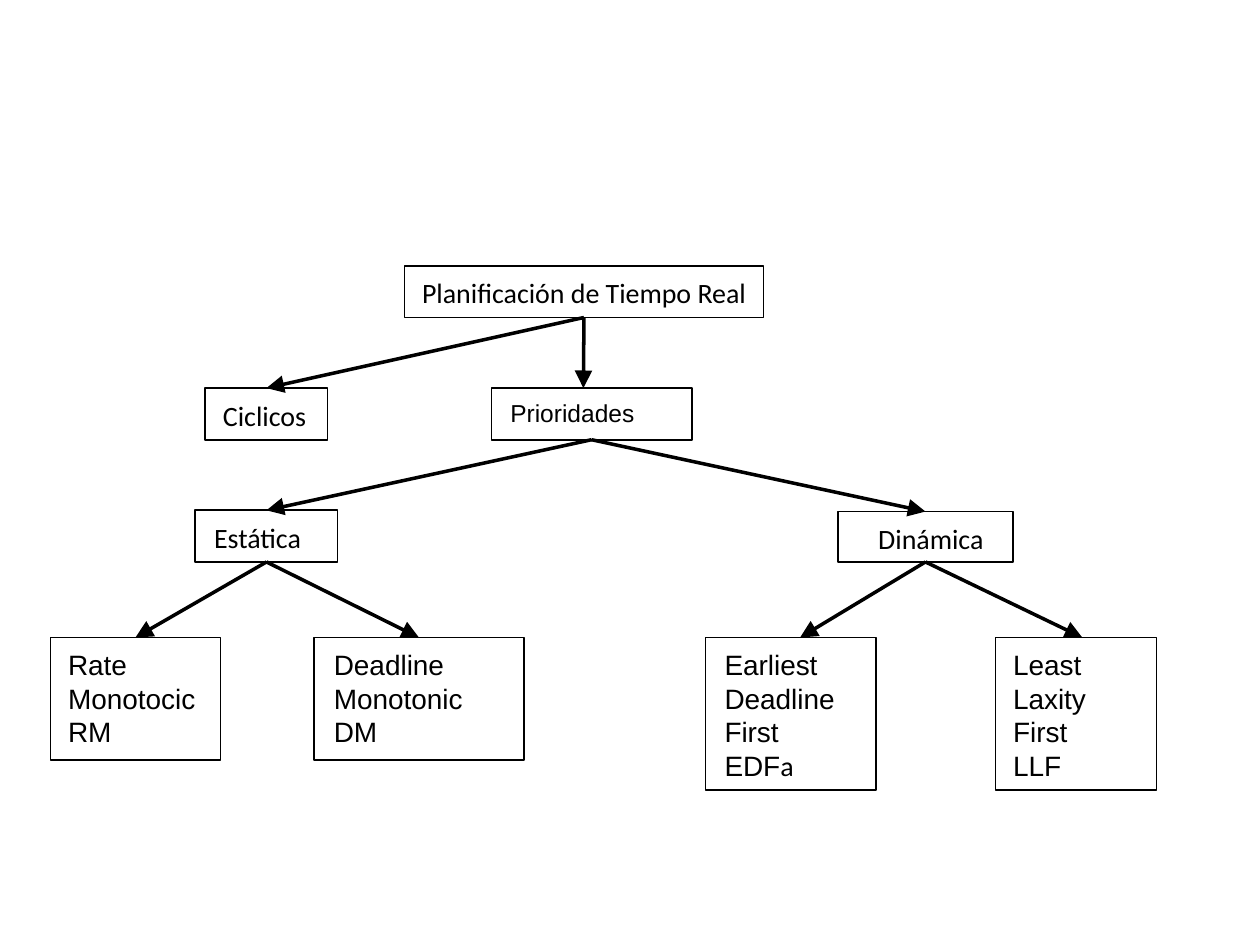
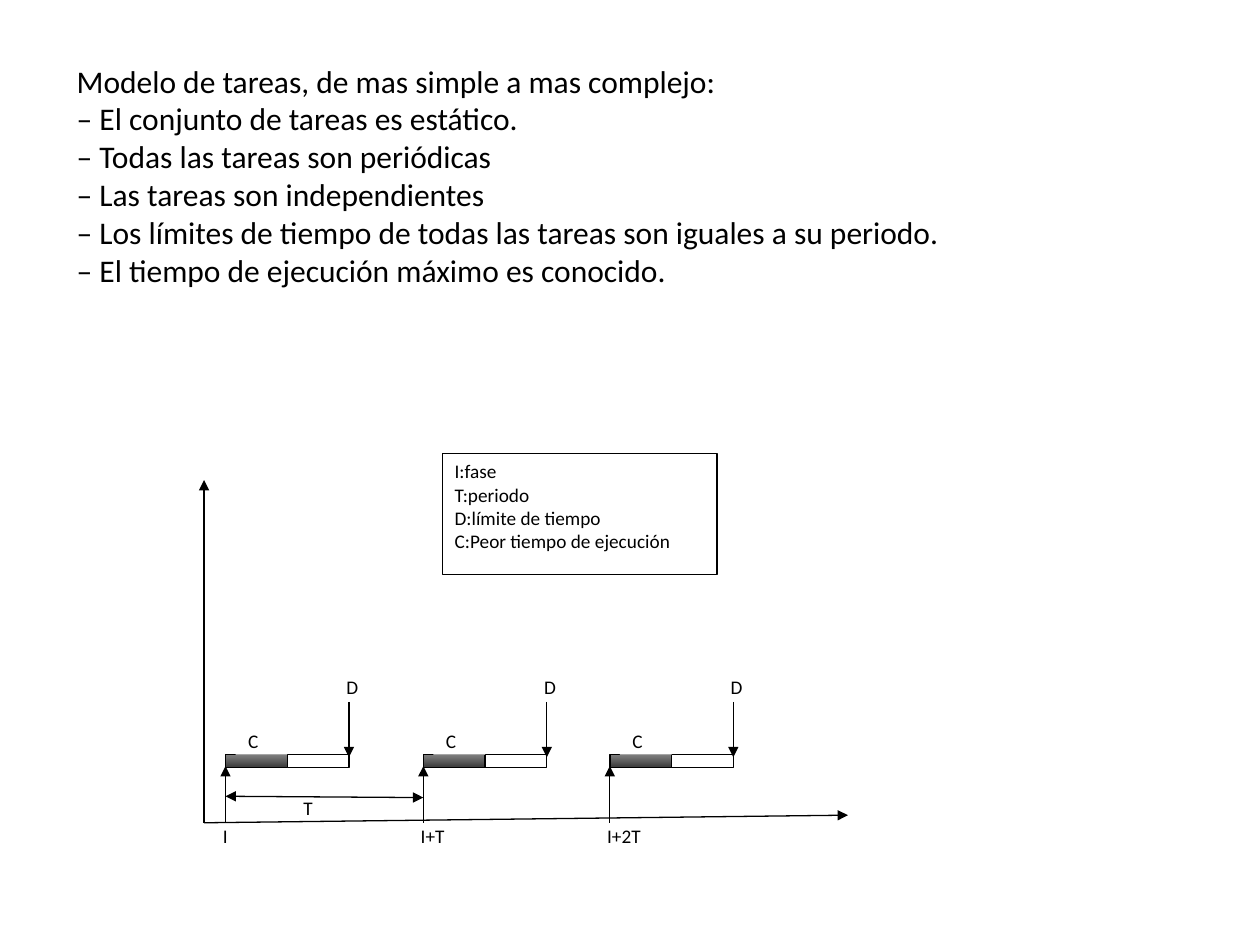
from lxml import etree
from pptx import Presentation
from pptx.dml.color import RGBColor
from pptx.enum.shapes import MSO_CONNECTOR, MSO_SHAPE
from pptx.enum.text import MSO_ANCHOR, PP_ALIGN
from pptx.oxml.ns import qn
from pptx.util import Inches, Pt

RECTANGLE = MSO_SHAPE.RECTANGLE
STRAIGHT = MSO_CONNECTOR.STRAIGHT
TOP_ANCHOR = MSO_ANCHOR.TOP
LEFT = PP_ALIGN.LEFT
BLACK = RGBColor(0x00, 0x00, 0x00)
WHITE = RGBColor(0xFF, 0xFF, 0xFF)
GRAY = RGBColor(0x80, 0x80, 0x80)
DARK_GRAY = RGBColor(0x3B, 0x3B, 0x3B)
TOP, BOTTOM = 0, 2
BLANK_LAYOUT = 6


def add_box(slide, place, lines=(), font="Calibri", size=11, inset=(0.1, 0.05),
            fill=WHITE, border=None):
    """Rectangle with left-aligned lines of text; border is a width in points."""
    box = slide.shapes.add_shape(RECTANGLE, *[Inches(v) for v in place])
    box.shadow.inherit = False
    if fill is None:
        box.fill.background()
    else:
        box.fill.solid()
        box.fill.fore_color.rgb = fill
    if border is None:
        box.line.fill.background()
    else:
        box.line.color.rgb = BLACK
        box.line.width = Pt(border)
    frame = box.text_frame
    frame_format = {"word_wrap": True, "vertical_anchor": TOP_ANCHOR,
                    "margin_left": Inches(inset[0]), "margin_top": Inches(inset[1]),
                    "margin_right": 0, "margin_bottom": 0}
    for name, value in frame_format.items():
        setattr(frame, name, value)
    for number, line in enumerate(lines):
        paragraph = frame.paragraphs[0] if number == 0 else frame.add_paragraph()
        paragraph.alignment = LEFT
        run = paragraph.add_run()
        run.text = line
        run.font.name, run.font.size = font, Pt(size)
        run.font.color.rgb = BLACK
    return box


def add_arrow(slide, start, end, width=0.75, head_size="med", ends=("tailEnd",)):
    """Straight black arrow; ends lists the line ends that carry a head."""
    arrow = slide.shapes.add_connector(STRAIGHT, *[Inches(v) for v in start + end])
    arrow.line.color.rgb = BLACK
    arrow.line.width = Pt(width)
    line = arrow.line._get_or_add_ln()
    for end_name in ends:
        etree.SubElement(line, qn("a:" + end_name), type="triangle", w=head_size, len=head_size)
    etree.SubElement(arrow._element.spPr, qn("a:effectLst"))
    return arrow


prs = Presentation()
prs.slide_width, prs.slide_height = Inches(10), Inches(7.5)
tree_slide, tasks_slide = [
    prs.slides.add_slide(prs.slide_layouts[BLANK_LAYOUT]) for _ in range(2)]

# Slide 1: tree of real-time schedulers (place, lines, font, size, left inset)
nodes = {
    "root": ((3.21, 2.11, 2.85, 0.41), ["Planificación de Tiempo Real"], "Calibri", 16, 0.14),
    "cyclic": ((1.63, 3.08, 0.97, 0.41), ["Ciclicos"], "Calibri", 16, 0.14),
    "priority": ((3.9, 3.08, 1.59, 0.41), ["Prioridades"], "Arial", 14, 0.15),
    "static": ((1.55, 4.05, 1.13, 0.41), ["Estática"], "Calibri", 16, 0.15),
    "dynamic": ((6.65, 4.06, 1.39, 0.4), ["Dinámica"], "Calibri", 16, 0.32),
    "RM": ((0.4, 5.06, 1.35, 0.97), ["Rate", "Monotocic", "RM"], "Arial", 16, 0.14),
    "DM": ((2.49, 5.06, 1.67, 0.97), ["Deadline", "Monotonic", "DM"], "Arial", 16, 0.16),
    "EDF": ((5.6, 5.06, 1.35, 1.21), ["Earliest", "Deadline", "First", "EDF"], "Arial", 16, 0.15),
    "LLF": ((7.9, 5.06, 1.28, 1.21), ["Least", "Laxity", "First", "LLF"], "Arial", 16, 0.14),
}
boxes = {}
for key, (place, lines, font, size, left_inset) in nodes.items():
    boxes[key] = add_box(tree_slide, place, lines, font, size, (left_inset, 0.08),
                         fill=None, border=1)

edf_suffix = boxes["EDF"].text_frame.paragraphs[-1].add_run()
edf_suffix.text = "a"
edf_suffix.font.name, edf_suffix.font.size = "Calibri", Pt(16)
edf_suffix.font.color.rgb = BLACK

# Branches; a number is the x of an arrow that lands off the middle of its box
branches = [
    ("root", "cyclic", None), ("root", "priority", 4.63),
    ("priority", "static", None), ("priority", "dynamic", None),
    ("static", "RM", None), ("static", "DM", None),
    ("dynamic", "EDF", 6.35), ("dynamic", "LLF", 8.59),
]
for parent, child, landing_x in branches:
    child_top = nodes[child][0][1]
    branch = add_arrow(tree_slide, (0, 0), (landing_x or 0, child_top), 2, "lg")
    branch.begin_connect(boxes[parent], BOTTOM)
    if landing_x is None:
        branch.end_connect(boxes[child], TOP)

# Slide 2: task model
add_box(tasks_slide, (0.51, 0.44, 9.49, 2.8), [
    "Modelo de tareas, de mas simple a mas complejo:",
    "– El conjunto de tareas es estático.",
    "– Todas las tareas son periódicas",
    "– Las tareas son independientes",
    "– Los límites de tiempo de todas las tareas son iguales a su periodo.",
    "– El tiempo de ejecución máximo es conocido.",
], size=18, fill=None)

# Axes
origin = (1.62, 6.53)
for axis_end in ((6.73, 6.47), (1.62, 3.81)):
    add_arrow(tasks_slide, origin, axis_end)

# One activation per period: execution bar, deadline and release arrows
releases = [(1.79, "I", 0.41), (3.36, "I+T", 0.41), (4.84, "I+2T", 0.56)]
bar_width = 0.49
for release, _, _ in releases:
    deadline = release + 2 * bar_width
    execution = add_box(tasks_slide, (release, 5.99, bar_width, 0.1), border=0.75)
    execution.fill.gradient()
    execution.fill.gradient_angle = 270
    for stop, color in zip(execution.fill.gradient_stops, (GRAY, DARK_GRAY)):
        stop.color.rgb = color
    add_box(tasks_slide, (release + bar_width, 5.99, bar_width, 0.1), border=0.75)
    add_box(tasks_slide, (release + 0.08, 5.74, 0.41, 0.25), ["C"])
    add_box(tasks_slide, (release + 0.86, 5.31, 0.41, 0.25), ["D"])
    add_arrow(tasks_slide, (deadline, 5.57), (deadline, 6.01))
    add_arrow(tasks_slide, (release, 6.53), (release, 6.08))

# Period and release labels
add_arrow(tasks_slide, (1.79, 6.32), (3.36, 6.33), ends=("headEnd", "tailEnd"))
add_box(tasks_slide, (2.31, 6.27, 0.41, 0.25), ["T"], fill=None)
for release, label, label_width in releases:
    add_box(tasks_slide, (release - 0.12, 6.49, label_width, 0.25), [label], fill=None)

# Legend
add_box(tasks_slide, (3.51, 3.6, 2.18, 0.96), [
    "I:fase", "T:periodo", "D:límite de tiempo", "C:Peor tiempo de ejecución",
], border=0.75)

prs.save("out.pptx")
